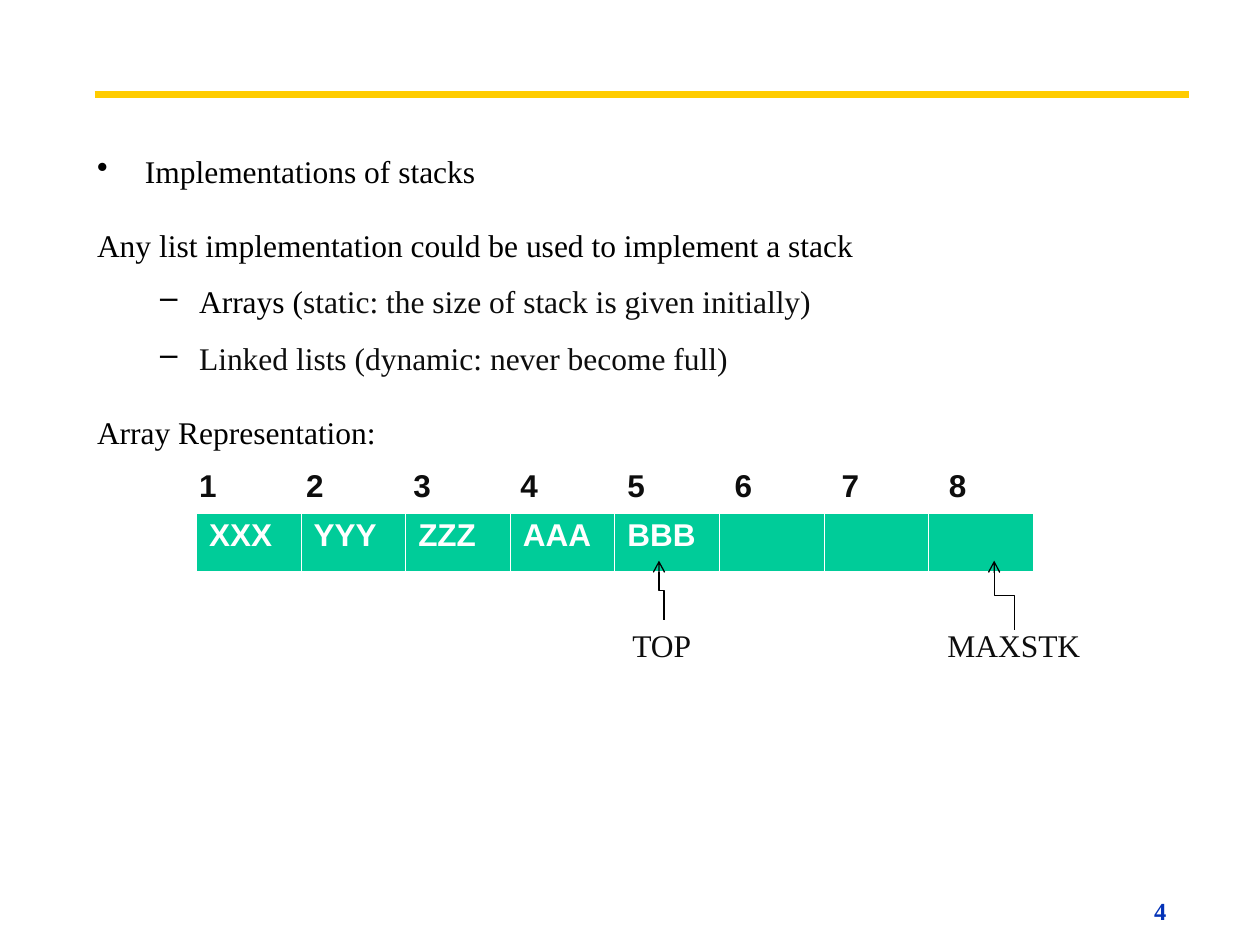
from dataclasses import dataclass

from lxml import etree
from pptx import Presentation
from pptx.dml.color import RGBColor
from pptx.enum.shapes import MSO_CONNECTOR
from pptx.oxml.ns import qn
from pptx.util import Inches, Pt

STRAIGHT = MSO_CONNECTOR.STRAIGHT
ELBOW = MSO_CONNECTOR.ELBOW
BLANK_LAYOUT = 6


@dataclass(frozen=True)
class Theme:
    serif: str = "Times New Roman"
    sans: str = "Arial"
    text_size: int = 18
    number_size: int = 14
    black: str = "000000"
    ink: str = "0D0D0D"
    white: str = "FFFFFF"
    green: str = "00CC99"
    yellow: str = "FFCC00"
    blue: str = "0332B7"


THEME = Theme()

# (runs as (text, colour), bullet)
BODY = [
    ([("Implementations of stacks", THEME.black)], "•"),
    ([("Any list implementation could be used to implement a stack", THEME.black)], None),
    ([("Arrays (", THEME.black),
      ("static: the size of stack is given initially)", THEME.ink)], "–"),
    ([("Linked lists (dynamic: never become full)", THEME.ink)], "–"),
    ([("Array Representation:", THEME.black)], None),
]
POSITIONS = [str(number) for number in range(1, 9)]
STACK_ITEMS = ["XXX", "YYY", "ZZZ", "AAA", "BBB", "", "", ""]


def style_font(font, color, name=THEME.serif, size=THEME.text_size, bold=False):
    font.name = name
    font.size = Pt(size)
    font.bold = bold
    font.color.rgb = RGBColor.from_string(color)


def add_text_frame(slide, left, top, width, height, margins=(0.1, 0.05), wrap=True):
    box = slide.shapes.add_textbox(Inches(left), Inches(top), Inches(width), Inches(height))
    frame = box.text_frame
    frame.word_wrap = wrap
    frame.margin_left = frame.margin_right = Inches(margins[0])
    frame.margin_top = frame.margin_bottom = Inches(margins[1])
    return frame


def add_label(slide, text, left, width):
    frame = add_text_frame(slide, left, 4.92, width, 0.4)
    frame.text = text
    style_font(frame.paragraphs[0].runs[0].font, THEME.ink)


def add_page_number(slide, text):
    frame = add_text_frame(slide, 9.09, 7.08, 1.02, 0.29, (0.07, 0.03), wrap=False)
    frame.text = text
    style_font(frame.paragraphs[0].runs[0].font, THEME.blue, size=THEME.number_size, bold=True)


def set_indent(paragraph, left, hanging, bullet):
    properties = paragraph._p.get_or_add_pPr()
    properties.set("marL", str(Inches(left)))
    properties.set("indent", str(-Inches(hanging)))
    if bullet:
        color = etree.SubElement(properties, qn("a:buClr"))
        etree.SubElement(color, qn("a:srgbClr"), val=THEME.black)
        etree.SubElement(properties, qn("a:buChar"), char=bullet)


def add_body(slide):
    frame = add_text_frame(slide, 0.7, 1.25, 8.58, 3.97, (0.07, 0.03))
    for index, (runs, bullet) in enumerate(BODY):
        paragraph = frame.add_paragraph() if index else frame.paragraphs[0]
        if bullet == "–":
            paragraph.level = 1
            set_indent(paragraph, 0.81, 0.31, bullet)
            paragraph.line_spacing, space = 0.85, 14
        else:
            set_indent(paragraph, 0.38, 0.38, bullet)
            paragraph.line_spacing, space = 0.75, 26
        if index:
            paragraph.space_before = Pt(space)
        for text, color in runs:
            run = paragraph.add_run()
            run.text = text
            style_font(run.font, color)


def set_borders(cell):
    properties = cell._tc.get_or_add_tcPr()
    for side, width in (("L", 0.45), ("R", 0.45), ("T", 0.45), ("B", 1.47)):
        line = etree.SubElement(properties, qn(f"a:ln{side}"), w=str(Pt(width)))
        fill = etree.SubElement(line, qn("a:solidFill"))
        etree.SubElement(fill, qn("a:srgbClr"), val=THEME.white)


def add_row_table(slide, texts, left, top, column_width, height, fill, color):
    """Add a one-row table with equal columns."""
    table = slide.shapes.add_table(
        1, len(texts), Inches(left), Inches(top),
        Inches(column_width * len(texts)), Inches(height)).table
    table.first_row = table.horz_banding = False
    for column, text in enumerate(texts):
        table.columns[column].width = Inches(column_width)
        cell = table.cell(0, column)
        set_borders(cell)
        cell.fill.solid()
        cell.fill.fore_color.rgb = RGBColor.from_string(fill)
        cell.text = text
        style_font(cell.text_frame.paragraphs[0].font, color, THEME.sans)
        for run in cell.text_frame.paragraphs[0].runs:
            style_font(run.font, color, THEME.sans, bold=True)


def add_line(slide, kind, start, end, color, width):
    connector = slide.shapes.add_connector(kind, *map(Inches, start + end))
    connector.line.color.rgb = RGBColor.from_string(color)
    connector.line.width = Pt(width)
    etree.SubElement(connector._element.spPr, qn("a:effectLst"))
    return connector


def add_pointer(slide, start, end):
    """Add an elbow arrow that leaves and arrives vertically."""
    middle_x, middle_y = (start[0] + end[0]) / 2, (start[1] + end[1]) / 2
    half_rise, half_shift = (start[1] - end[1]) / 2, (start[0] - end[0]) / 2
    # Laid out sideways around its centre, then turned by 270 degrees
    pointer = add_line(
        slide, ELBOW,
        (middle_x - half_rise, middle_y + half_shift),
        (middle_x + half_rise, middle_y - half_shift), THEME.black, 0.75)
    properties = pointer._element.spPr
    properties.find(qn("a:xfrm")).set("rot", str(270 * 60000))
    etree.SubElement(properties.find(qn("a:ln")), qn("a:tailEnd"), type="arrow")


def main():
    presentation = Presentation()
    presentation.slide_width = Inches(10)
    presentation.slide_height = Inches(7.5)
    slide = presentation.slides.add_slide(presentation.slide_layouts[BLANK_LAYOUT])

    add_page_number(slide, "4")
    add_line(slide, STRAIGHT, (0.75, 0.75), (9.44, 0.75), THEME.yellow, 4.5)
    add_body(slide)
    add_row_table(slide, STACK_ITEMS, 1.56, 4.06, 0.83, 0.48, THEME.green, THEME.white)
    add_label(slide, "TOP", 4.92, 0.7)
    add_label(slide, "MAXSTK", 7.42, 1.48)
    add_pointer(slide, (5.27, 4.92), (5.23, 4.45))
    add_pointer(slide, (8.05, 5), (7.89, 4.45))
    add_row_table(slide, POSITIONS, 1.48, 3.67, 0.85, 0.4, THEME.white, THEME.ink)

    presentation.save("out.pptx")


if __name__ == "__main__":
    main()
